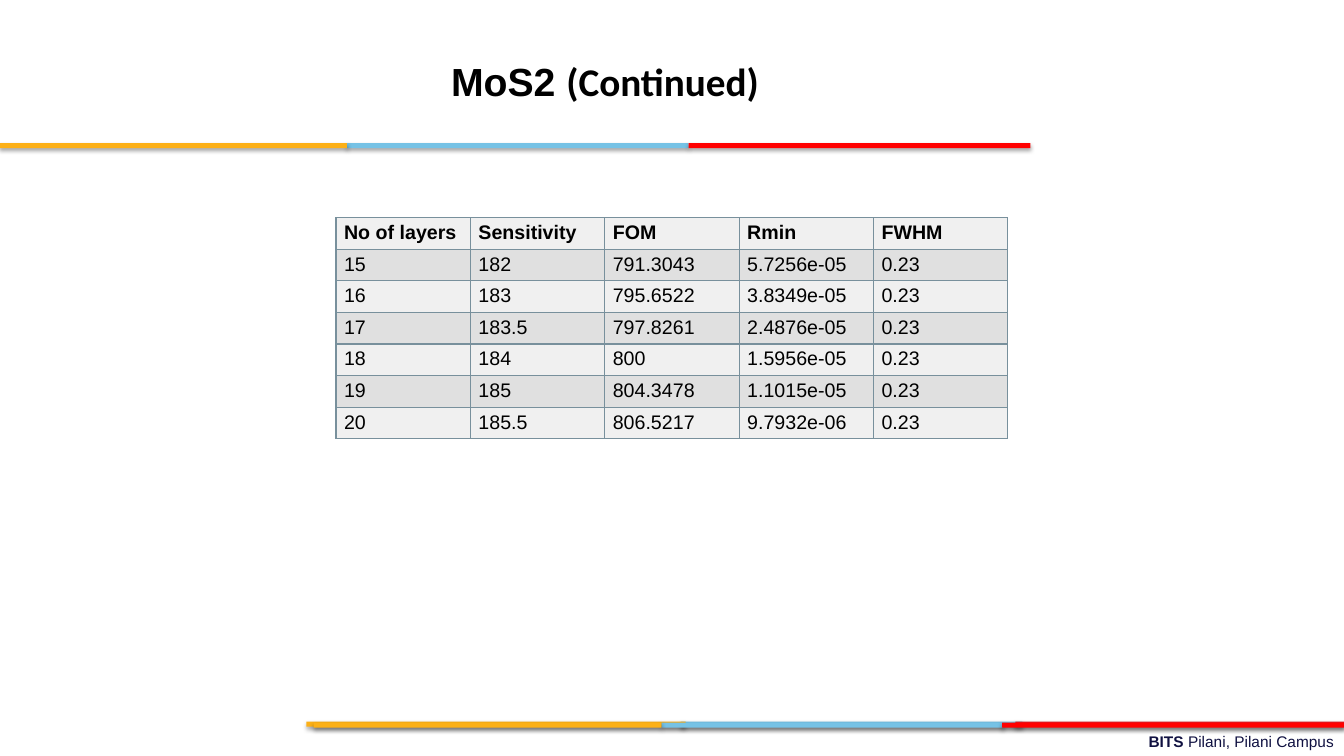
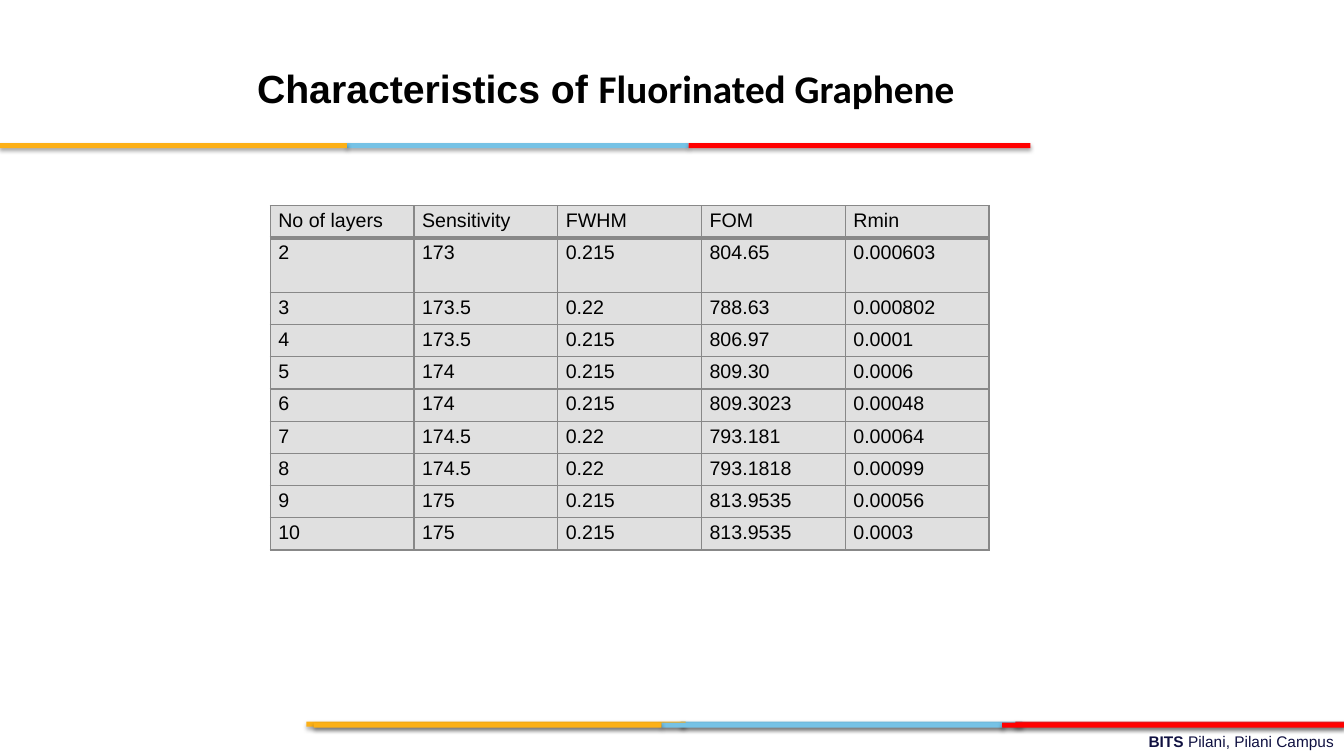
import lxml.etree
import pptx
import pptx.dml.color
import pptx.enum.shapes
import pptx.enum.text
import pptx.oxml
import pptx.oxml.ns
import pptx.util

RGBColor = pptx.dml.color.RGBColor
Inches = pptx.util.Inches
ALIGN = pptx.enum.text.PP_ALIGN

ORANGE = RGBColor(0xFC, 0xB0, 0x17)
BLUE = RGBColor(0x76, 0xC2, 0xE5)
RED = RGBColor(0xFF, 0x00, 0x00)
CRIMSON = RGBColor(0xE3, 0x1C, 0x24)
NAVY = RGBColor(0x10, 0x11, 0x41)
BLACK = RGBColor(0x00, 0x00, 0x00)
LIGHT_GREY = RGBColor(0xF0, 0xF0, 0xF0)
GREY = RGBColor(0xE0, 0xE0, 0xE0)
SLATE = RGBColor(0x78, 0x90, 0x9C)
MID_GREY = RGBColor(0x88, 0x88, 0x88)

PAGE_WIDTH, PAGE_HEIGHT = 13.33, 7.5
BAND_HEIGHT = 0.05
SHADOW = (
    '<a:effectLst %s><a:outerShdw blurRad="39370" dist="22860" dir="5400000" rotWithShape="0">'
    '<a:srgbClr val="000000"><a:alpha val="35000"/></a:srgbClr>'
    "</a:outerShdw></a:effectLst>" % pptx.oxml.ns.nsdecls("a")
)

BANDS = [
    (7.16, [(6.75, 10.14, BLUE), (10.07, PAGE_WIDTH, CRIMSON), (3.04, 6.8, ORANGE)]),
    (7.17, [(6.56, 9.95, BLUE), (3.11, 6.56, ORANGE), (9.94, PAGE_WIDTH, RED)]),
    (1.42, [(3.44, 6.83, BLUE), (0, 3.44, ORANGE), (6.83, 10.22, RED)]),
]

MOS2_ROWS = [
    ("No of layers", "Sensitivity", "FOM", "Rmin", "FWHM"),
    ("15", "182", "791.3043", "5.7256e-05", "0.23"),
    ("16", "183", "795.6522", "3.8349e-05", "0.23"),
    ("17", "183.5", "797.8261", "2.4876e-05", "0.23"),
    ("18", "184", "800", "1.5956e-05", "0.23"),
    ("19", "185", "804.3478", "1.1015e-05", "0.23"),
    ("20", "185.5", "806.5217", "9.7932e-06", "0.23"),
]

GRAPHENE_ROWS = [
    ("No of layers", "Sensitivity", "FWHM", "FOM", "Rmin"),
    ("2", "173", "0.215", "804.65", "0.000603"),
    ("3", "173.5", "0.22", "788.63", "0.000802"),
    ("4", "173.5", "0.215", "806.97", "0.0001"),
    ("5", "174", "0.215", "809.30", "0.0006"),
    ("6", "174", "0.215", "809.3023", "0.00048"),
    ("7", "174.5", "0.22", "793.181", "0.00064"),
    ("8", "174.5", "0.22", "793.1818", "0.00099"),
    ("9", "175", "0.215", "813.9535", "0.00056"),
    ("10", "175", "0.215", "813.9535", "0.0003"),
]


def add_span(para, text, size=14, font="Arial", color=BLACK, bold=False):
    span = para.add_run()
    span.text = text
    span.font.size = pptx.util.Pt(size)
    span.font.name = font
    span.font.color.rgb = color
    span.font.bold = bold


def set_margins(holder, across, down):
    holder.margin_left = holder.margin_right = Inches(across)
    holder.margin_top = holder.margin_bottom = Inches(down)


def add_text_box(page, box, spans, margins, align=ALIGN.LEFT, line_spacing=1.0):
    frame = page.shapes.add_textbox(*map(Inches, box)).text_frame
    frame.word_wrap = True
    set_margins(frame, *margins)
    para = frame.paragraphs[0]
    para.alignment = align
    para.line_spacing = line_spacing
    for text, style in spans:
        add_span(para, text, **style)


def add_band(page, top, segments):
    for left, right, color in segments:
        bar = page.shapes.add_shape(
            pptx.enum.shapes.MSO_SHAPE.RECTANGLE,
            *map(Inches, (left, top, right - left, BAND_HEIGHT)),
        )
        bar.fill.solid()
        bar.fill.fore_color.rgb = color
        bar.line.fill.background()
        bar._element.spPr.append(pptx.oxml.parse_xml(SHADOW))


def add_footer(page, box):
    style = dict(size=11, color=NAVY)
    spans = [("BITS ", dict(style, bold=True)), ("Pilani, Pilani Campus", style)]
    add_text_box(page, box, spans, (0.1, 0.05), align=ALIGN.RIGHT)


def add_title(page, box, lead, rest, **layout):
    style = dict(size=28, bold=True)
    spans = [(lead, style), (rest, dict(style, font="Calibri"))]
    add_text_box(page, box, spans, **layout)


def set_border(cell, side, color, width):
    tag = pptx.oxml.ns.qn("a:ln" + side)
    line = lxml.etree.SubElement(cell._tc.get_or_add_tcPr(), tag, w=str(pptx.util.Pt(width)))
    fill = lxml.etree.SubElement(line, pptx.oxml.ns.qn("a:solidFill"))
    lxml.etree.SubElement(fill, pptx.oxml.ns.qn("a:srgbClr"), val=str(color))


def add_data_table(page, box, rows, fills, border, header_bold=False, header_rule=1, row_heights=None):
    columns = len(rows[0])
    table = page.shapes.add_table(len(rows), columns, *map(Inches, box)).table
    table.first_row = table.horz_banding = False
    for column in table.columns:
        column.width = Inches(box[2] / columns)
    heights = row_heights or [box[3] / len(rows)] * len(rows)
    for r, values in enumerate(rows):
        table.rows[r].height = Inches(heights[r])
        rules = {"L": 1, "R": 1, "T": header_rule if r == 1 else 1, "B": header_rule if r == 0 else 1}
        for c, value in enumerate(values):
            cell = table.cell(r, c)
            set_margins(cell, 0.08, 0.04)
            for side, width in rules.items():
                set_border(cell, side, border, width)
            cell.fill.solid()
            cell.fill.fore_color.rgb = fills[r % len(fills)]
            add_span(cell.text_frame.paragraphs[0], value, bold=header_bold and r == 0)


def add_page(deck):
    page = deck.slides.add_slide(deck.slide_layouts[6])
    add_footer(page, (4.78, 7.21, 8.55, 0.28))
    for top, segments in BANDS:
        add_band(page, top, segments)
    return page


def add_mos2_page(deck):
    page = add_page(deck)
    width = PAGE_WIDTH / 2
    add_data_table(page, ((PAGE_WIDTH - width) / 2, 2.16, width, 2.13), MOS2_ROWS,
                   (LIGHT_GREY, GREY), SLATE, header_bold=True)
    add_title(page, (4.36, 0.52, 3.28, 0.63), "MoS2 ", "(Continued)",
              margins=(0.1, 0.1), align=ALIGN.CENTER, line_spacing=0.9)


def add_graphene_page(deck):
    page = add_page(deck)
    heights = [0.32, 0.54] + [0.32] * (len(GRAPHENE_ROWS) - 2)
    add_data_table(page, (2.68, 2.04, 7.13, sum(heights)), GRAPHENE_ROWS,
                   (GREY,), MID_GREY, header_rule=3, row_heights=heights)
    add_title(page, (2.48, 0.6, 7.13, 0.55), "Characteristics of ", "Fluorinated Graphene",
              margins=(0.07, 0.04))


def main():
    deck = pptx.Presentation()
    deck.slide_width = Inches(PAGE_WIDTH)
    deck.slide_height = Inches(PAGE_HEIGHT)
    add_mos2_page(deck)
    add_graphene_page(deck)
    deck.save("out.pptx")


if __name__ == "__main__":
    main()
